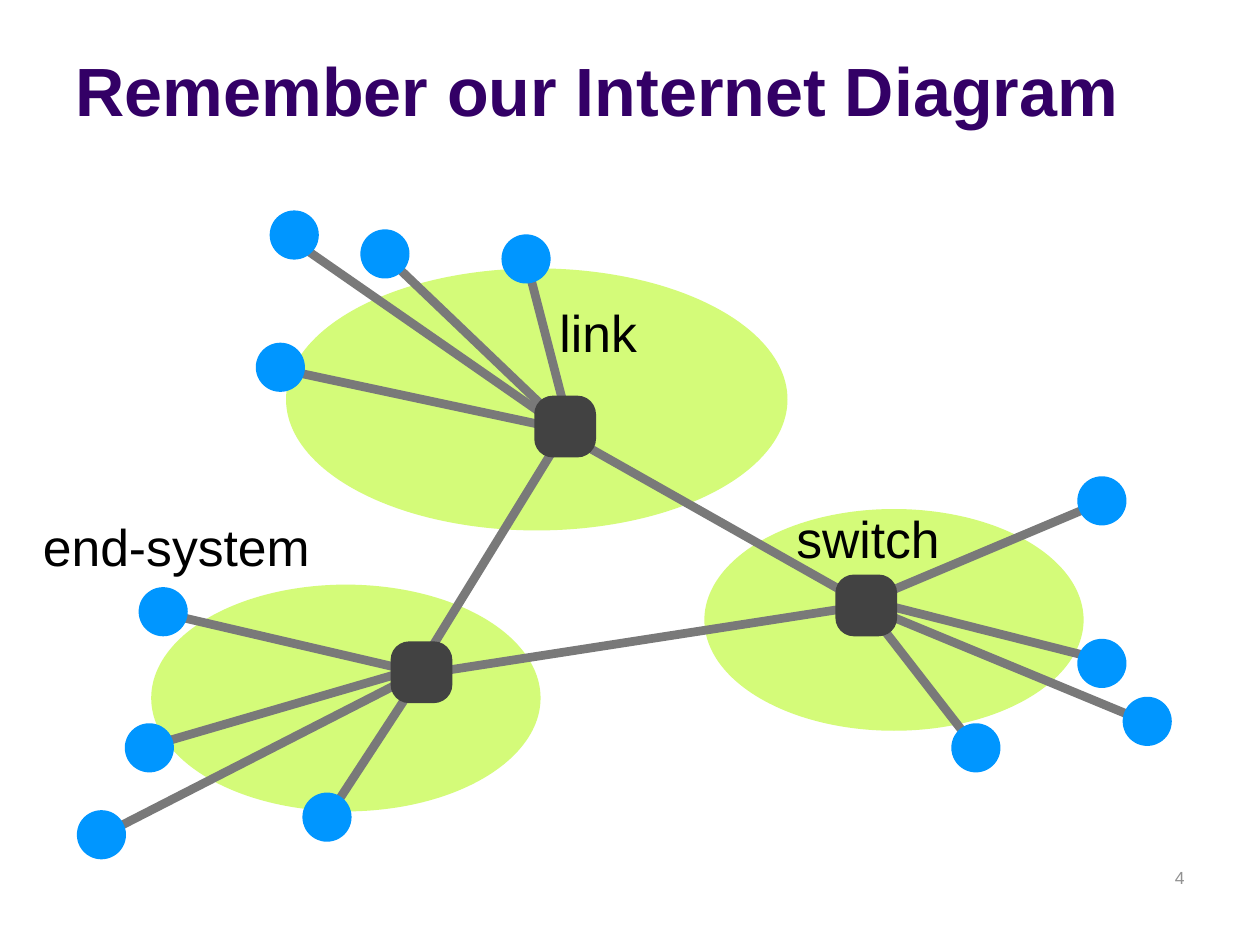
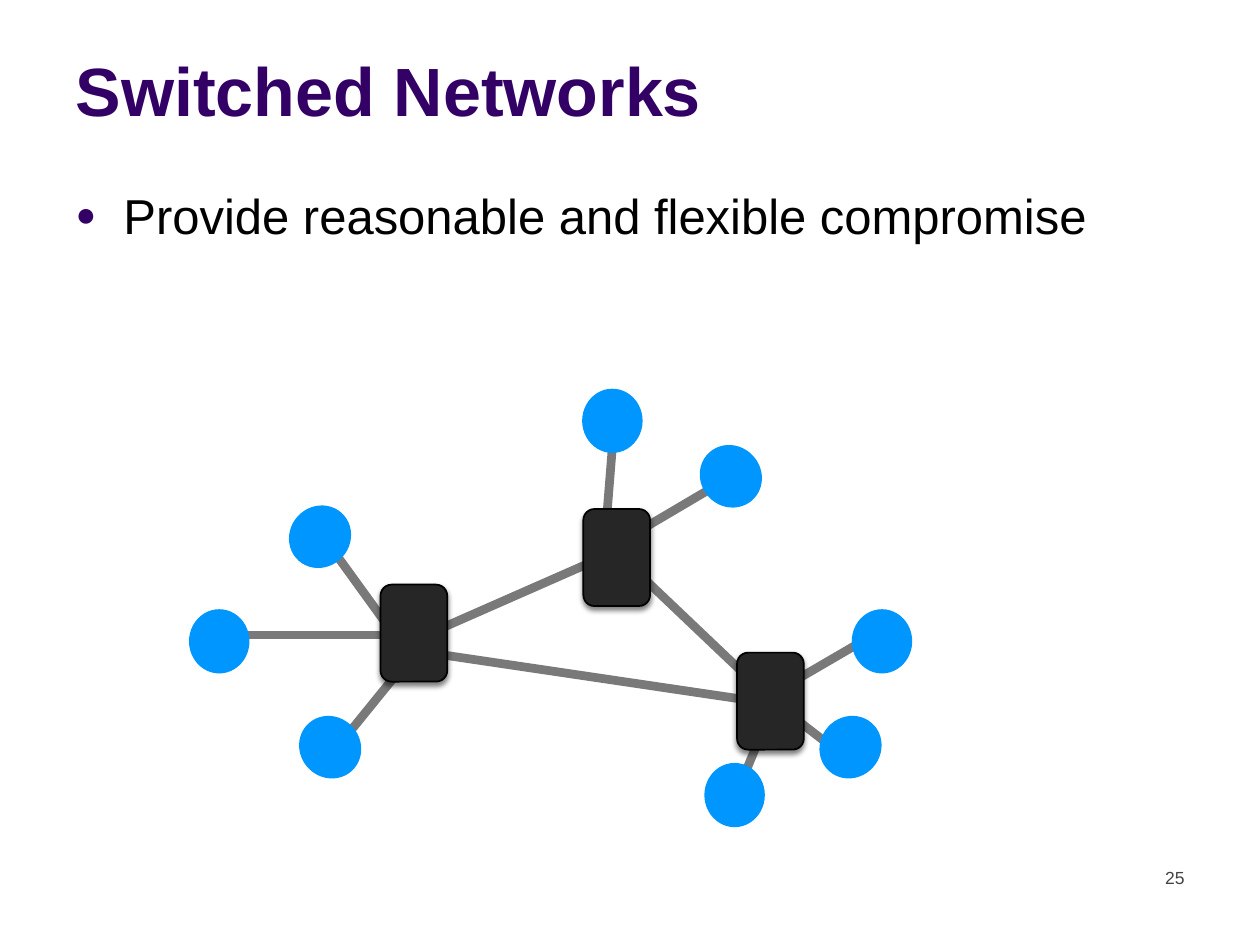
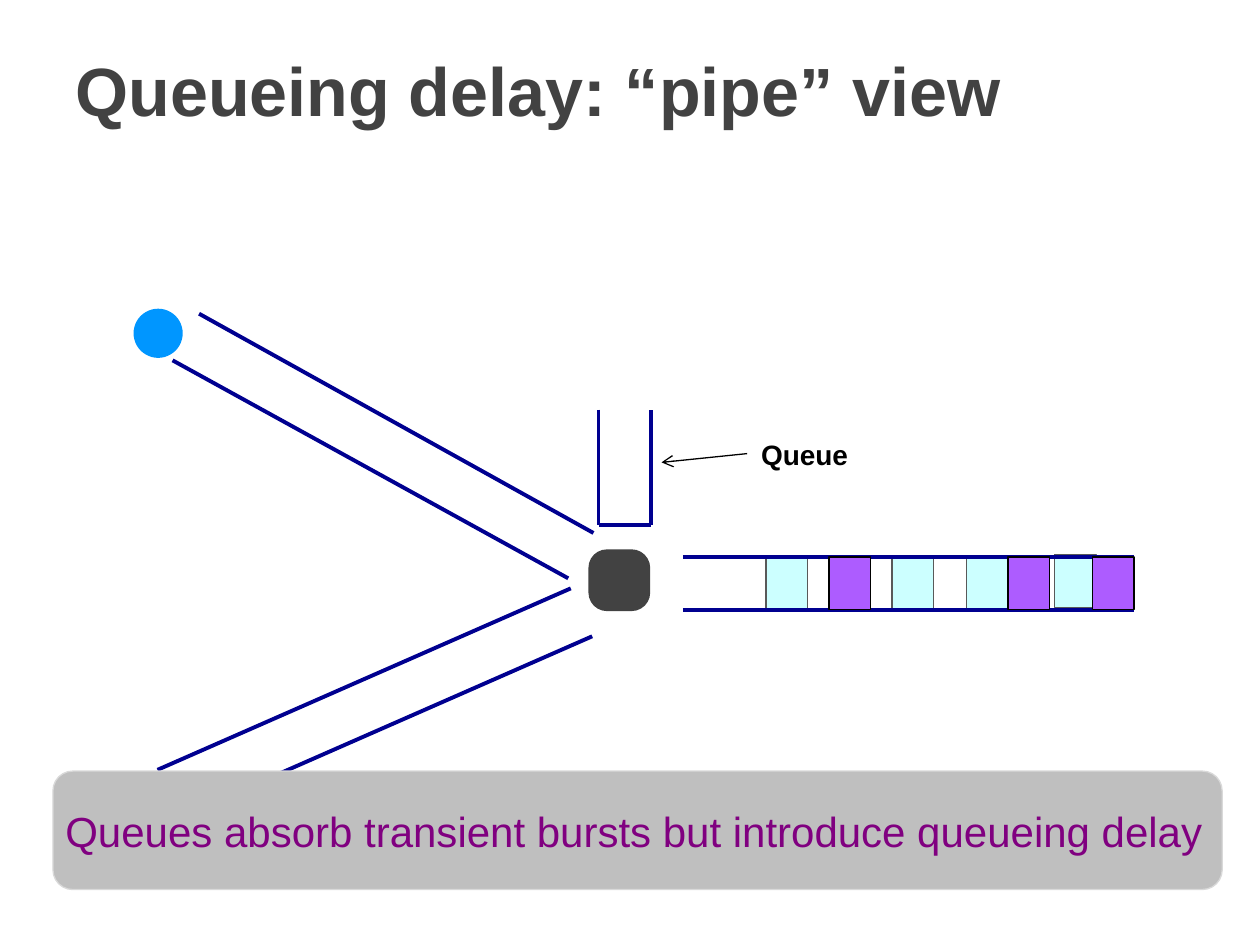
from pptx import Presentation
from pptx.dml.color import RGBColor
from pptx.enum.shapes import MSO_CONNECTOR, MSO_SHAPE
from pptx.enum.text import MSO_ANCHOR, PP_ALIGN
from pptx.oxml import parse_xml
from pptx.oxml.ns import nsdecls
from pptx.util import Inches, Pt

OVAL, RECT, ROUNDED = MSO_SHAPE.OVAL, MSO_SHAPE.RECTANGLE, MSO_SHAPE.ROUNDED_RECTANGLE
STRAIGHT = MSO_CONNECTOR.STRAIGHT
LEFT, RIGHT = PP_ALIGN.LEFT, PP_ALIGN.RIGHT
TOP, MIDDLE, BOTTOM = MSO_ANCHOR.TOP, MSO_ANCHOR.MIDDLE, MSO_ANCHOR.BOTTOM

FONT = "Arial"
COLORS = {
    "title": "330066", "black": "000000", "graphite": "424242", "number": "919191",
    "cloud": "D4FB79", "host": "0096FF", "link": "797979", "router": "262626",
    "pipe": "000090", "cyan": "CCFFFF", "cyan_edge": "595959", "violet": "AD5CFF",
    "banner": "BFBFBF", "banner_edge": "D9D9D9", "caption": "800080",
}
TITLE_ONLY, TITLE_AND_BODY = 5, 1
TITLE_BOX = (0.5, 0.13, 9.5, 0.95)
BODY_BOX = (0.5, 1.42, 9, 5.29)
NUMBER_BOX = (7.17, 6.83, 2.33, 0.5)
NODE = 0.39
SWITCH = 0.49

CLOUDS = [(5.59, 3.04, 3.01, 1.76), (2.27, 1.13, 3.98, 2.08), (1.2, 3.64, 3.09, 1.8)]
SWITCHES = [(4.24, 2.14), (3.1, 4.09), (6.63, 3.56)]
END_SYSTEMS = [
    ((2.03, 1.72), (2.23, 1.93), (4.43, 2.4)),
    ((2.14, 0.67), (2.34, 0.92), (4.4, 2.35)),
    ((2.86, 0.82), (3.06, 1.03), (4.43, 2.34)),
    ((3.98, 0.86), (4.19, 1.12), (4.53, 2.43)),
    ((1.1, 3.66), (1.27, 3.86), (3.29, 4.33)),
    ((0.99, 4.74), (1.16, 4.93), (3.29, 4.31)),
    ((0.61, 5.43), (0.77, 5.65), (3.27, 4.37)),
    ((2.4, 5.29), (2.63, 5.44), (3.33, 4.37)),
    ((8.55, 2.78), (8.73, 2.99), (6.83, 3.79)),
    ((8.55, 4.07), (8.72, 4.23), (6.9, 3.77)),
    ((8.91, 4.53), (9.12, 4.74), (6.85, 3.8)),
    ((7.55, 4.74), (7.73, 4.92), (6.9, 3.85)),
]
TRUNKS = [((4.42, 2.41), (6.88, 3.8)), ((4.49, 2.41), (3.34, 4.28)),
          ((6.9, 3.8), (3.35, 4.35))]
LABELS = [("end-system", (0.3, 3.04, 2.28, 0.58)), ("switch", (6.28, 2.98, 1.23, 0.58)),
          ("link", (4.4, 1.34, 0.7, 0.58))]

ROUTERS = [(2.02, 1.64), (3.63, 1.04), (4.85, 2.18)]
ROUTER_LINKS = [
    ((2.38, 2.04), (3.79, 1.42)), ((2.53, 2.2), (5.03, 2.57)), ((3.93, 1.42), (5.14, 2.57)),
    ((2.13, 2.04), (1.58, 1.28)), ((2.13, 2.04), (0.73, 2.04)), ((2.27, 2.2), (1.58, 3.05)),
    ((3.88, 0.3), (3.79, 1.42)), ((5.09, 2.71), (4.85, 3.29)), ((5.14, 2.57), (5.76, 3.05)),
    ((5.14, 2.5), (5.93, 2.04)), ((3.96, 1.28), (4.74, 0.82)),
]
HOST_CENTERS = [
    (4.8, 0.78, 138.2), (1.62, 2.93, 138.2), (0.74, 2.09, 0), (6, 2.09, 0),
    (3.86, 0.34, 0), (4.83, 3.31, 0), (1.54, 1.26, 41.7), (5.75, 2.93, 41.7),
]


def rgb(name):
    """Return the colour held under a name."""
    return RGBColor.from_string(COLORS[name])


def place(sp, box):
    """Move and size a placeholder."""
    sp.left, sp.top, sp.width, sp.height = (Inches(v) for v in box)


def offset(origin, box):
    """Shift a box or point by the origin of its region."""
    return (origin[0] + box[0], origin[1] + box[1], *box[2:])


def write(tf, text, size, color, bold=False, align=LEFT, anchor=TOP):
    """Write one formatted paragraph into a text frame."""
    tf.vertical_anchor = anchor
    p = tf.paragraphs[0]
    p.alignment = align
    r = p.add_run()
    r.text = text
    r.font.name, r.font.size, r.font.bold = FONT, Pt(size), bold
    r.font.color.rgb = rgb(color)
    return p


def add_text(s, box, text, size, color, wrap=True, inset=(0.1, 0.05), **style):
    """Add a text box with one paragraph."""
    tf = s.shapes.add_textbox(*(Inches(v) for v in box)).text_frame
    tf.word_wrap = wrap
    tf.margin_left = tf.margin_right = Inches(inset[0])
    tf.margin_top = tf.margin_bottom = Inches(inset[1])
    write(tf, text, size, color, **style)


def add_shape(s, kind, box, fill, line=None, width=0.75):
    """Add a flat preset shape, outlined when a line colour is given."""
    sp = s.shapes.add_shape(kind, *(Inches(v) for v in box))
    sp.shadow.inherit = False
    sp.fill.solid()
    sp.fill.fore_color.rgb = rgb(fill)
    if line:
        sp.line.color.rgb = rgb(line)
        sp.line.width = Pt(width)
    else:
        sp.line.fill.background()
    return sp


def add_line(s, origin, start, end, color, width, arrow=False):
    """Add a straight connector between two points of a region."""
    ends = offset(origin, start) + offset(origin, end)
    c = s.shapes.add_connector(STRAIGHT, *(Inches(v) for v in ends))
    c.line.color.rgb = rgb(color)
    c.line.width = Pt(width)
    if arrow:
        c.line._get_or_add_ln().append(
            parse_xml(f'<a:tailEnd {nsdecls("a")} type="arrow"/>'))
    c._element.spPr.append(parse_xml(f'<a:effectLst {nsdecls("a")}/>'))


def add_switch(s, box):
    """Add a dark rounded switch."""
    sp = add_shape(s, ROUNDED, (*box, SWITCH, SWITCH), "graphite")
    sp.adjustments[0] = 0.3


def add_router(s, box):
    """Add an outlined router with a soft shadow below it."""
    sp = add_shape(s, ROUNDED, (*box, 0.53, 0.77), "router", "black", 1)
    sp._element.spPr.find("{*}effectLst").append(parse_xml(
        f'<a:outerShdw {nsdecls("a")} blurRad="38100" dist="25400" dir="5400000" '
        'rotWithShape="0"><a:srgbClr val="000000"><a:alpha val="50000"/>'
        '</a:srgbClr></a:outerShdw>'))


def add_slide(prs, layout, title, color="title"):
    """Add a slide with the shared title style."""
    s = prs.slides.add_slide(prs.slide_layouts[layout])
    place(s.shapes.title, TITLE_BOX)
    write(s.shapes.title.text_frame, title, 39, color, bold=True, anchor=BOTTOM)
    return s


def add_number(s, number, color):
    """Add the slide number at the lower right."""
    add_text(s, NUMBER_BOX, number, 10, color, align=RIGHT)


def add_bullet(s, text):
    """Fill the body placeholder with one bulleted line."""
    body = s.placeholders[1]
    place(body, BODY_BOX)
    p = write(body.text_frame, text, 28, "black")
    p.space_before = Pt(5.6)
    pPr = p._p.get_or_add_pPr()
    pPr.set("marL", str(Inches(0.38)))
    pPr.set("indent", str(-Inches(0.38)))
    for tag in (f'buClr {nsdecls("a")}><a:srgbClr val="{COLORS["title"]}"/></a:buClr',
                f'buSzPct {nsdecls("a")} val="70000"/',
                f'buFont {nsdecls("a")} typeface="{FONT}"/',
                f'buChar {nsdecls("a")} char="●"/'):
        pPr.append(parse_xml(f"<a:{tag}>"))


def internet_diagram(s, origin):
    """Draw clouds, links, end-systems and switches."""
    for cloud in CLOUDS:
        add_shape(s, OVAL, offset(origin, cloud), "cloud")
    links = [(start, end) for _, start, end in END_SYSTEMS] + TRUNKS
    for start, end in links:
        add_line(s, origin, start, end, "link", 5)
    for host, _, _ in END_SYSTEMS:
        add_shape(s, OVAL, offset(origin, (*host, NODE, NODE)), "host")
    for text, box in LABELS:
        add_text(s, offset(origin, box), text, 29.5, "black", wrap=False,
                 inset=(0.04, 0.04), anchor=MIDDLE)
    for switch in SWITCHES:
        add_switch(s, offset(origin, switch))


def switched_network(s, origin):
    """Draw three linked routers and their hosts."""
    width, height = 0.48, 0.51
    for start, end in ROUTER_LINKS:
        add_line(s, origin, start, end, "link", 5)
    for x, y, angle in HOST_CENTERS:
        box = offset(origin, (x - width / 2, y - height / 2, width, height))
        add_shape(s, OVAL, box, "host").rotation = angle
    for router in ROUTERS:
        add_router(s, offset(origin, router))


def inbound_pipes(s, origin):
    """Draw the two slanted pipes that lead to the switch."""
    for start, end in [((0.58, 0.49), (3.71, 2.23)), ((0.37, 0.86), (3.51, 2.59)),
                       ((0.25, 4.11), (3.53, 2.67)), ((0.42, 4.49), (3.7, 3.05))]:
        add_line(s, origin, start, end, "pipe", 2.25)


def outbound_pipe(s, box):
    """Draw the level pipe and the packets inside it."""
    left, top, width, height = box
    for x, y in [(2.95, -0.02), (2.25, -0.01), (1.66, 0), (0.66, 0)]:
        add_shape(s, RECT, (left + x, top + y, 0.33, height), "cyan", "cyan_edge")
    for y in (0, height):
        add_line(s, (left, top), (0, y), (width, y), "pipe", 2.25)
    for x in (1.16, 3.25, 2.58):
        add_shape(s, RECT, (left + x, top, 0.33, height), "violet", "black")


def queue(s, box):
    """Draw the open queue and its label."""
    left, top, width, height = box
    corners = [(0, 0), (0, height), (width, height), (width, 0)]
    for start, end in zip(corners, corners[1:]):
        add_line(s, (left, top), start, end, "pipe", 2.25)
    add_text(s, (left + 1.18, top + 0.17, 0.9, 0.37), "Queue", 16, "black",
             wrap=False, bold=True, align=RIGHT)
    add_line(s, (left, top), (1.18, 0.35), (0.5, 0.42), "black", 0.75, arrow=True)


def banner(s, box, text):
    """Draw the grey banner and its caption."""
    left, top, width, height = box
    add_shape(s, ROUNDED, box, "banner", "banner_edge")
    add_text(s, (left, top + 0.22, width + 0.17, 0.5), text, 24, "caption")


def main():
    """Build and save the slides."""
    prs = Presentation()
    prs.slide_width, prs.slide_height = Inches(10), Inches(7.5)

    s = add_slide(prs, TITLE_ONLY, "Remember our Internet Diagram")
    internet_diagram(s, (0, 1))
    add_number(s, "4", "number")

    s = add_slide(prs, TITLE_AND_BODY, "Switched Networks")
    add_bullet(s, "Provide reasonable and flexible compromise")
    switched_network(s, (1, 3))
    add_number(s, "25", "graphite")

    s = add_slide(prs, TITLE_ONLY, "Queueing delay: “pipe” view", "graphite")
    inbound_pipes(s, (1, 2))
    outbound_pipe(s, (5.42, 4.42, 3.58, 0.42))
    queue(s, (4.75, 3.25, 0.42, 0.92))
    add_shape(s, OVAL, (1.06, 2.45, NODE, NODE), "host")
    add_switch(s, (4.67, 4.36))
    banner(s, (0.42, 6.12, 9.28, 0.94),
           "Queues absorb transient bursts but introduce queueing delay")

    prs.save("out.pptx")


if __name__ == "__main__":
    main()
